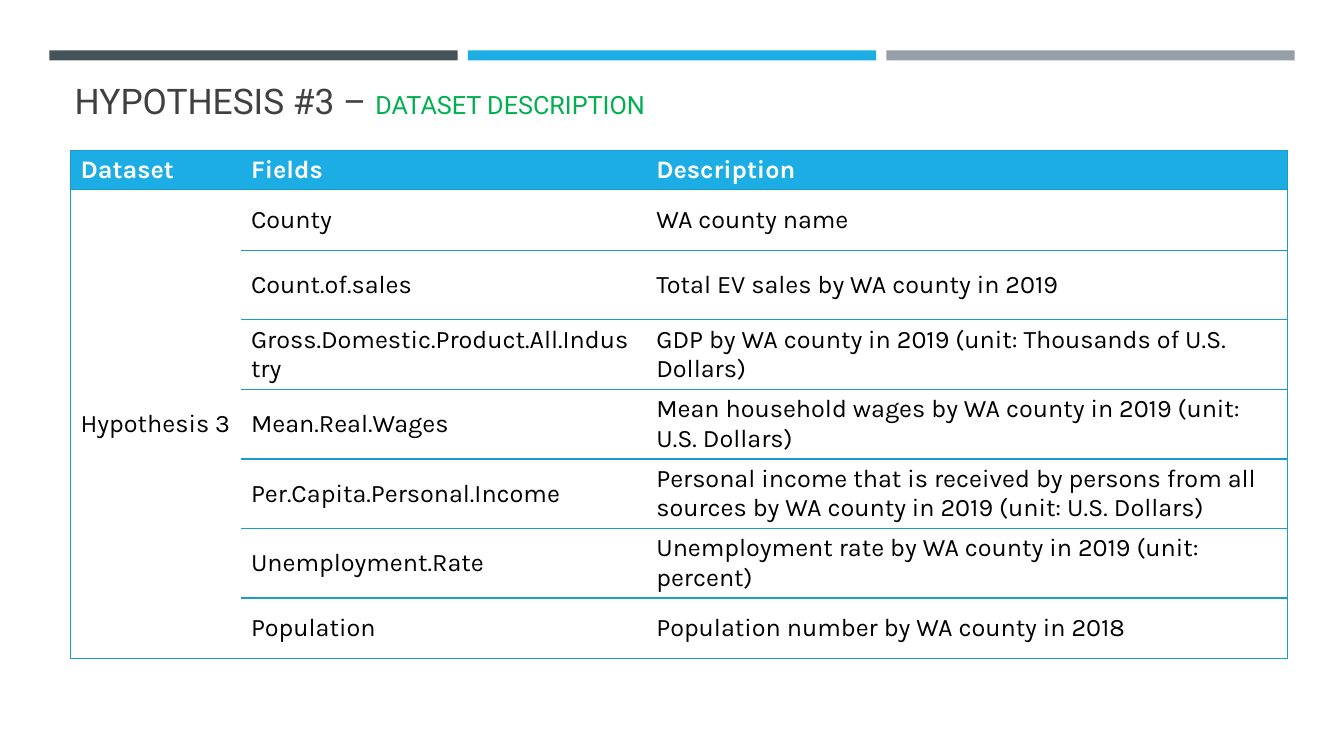
from lxml import etree
from pptx import Presentation
from pptx.dml.color import RGBColor
from pptx.enum import shapes, text
from pptx.oxml import ns
from pptx.util import Inches, Pt

# Content
TITLE = [("HYPOTHESIS #3 – ", 25.2, "404040"), ("DATASET DESCRIPTION", 18, "00B050")]
BAR_COLOURS = ["465359", "1CADE4", "969FA7"]
HEADINGS = ("Dataset", "Fields", "Description")
DATASET = "Hypothesis 3"
FIELDS = [
    ("County", "WA county name"),
    ("Count.of.sales", "Total EV sales by WA county in 2019"),
    ("Gross.Domestic.Product.All.Industry",
     "GDP by WA county in 2019 (unit: Thousands of U.S. Dollars)"),
    ("Mean.Real.Wages",
     "Mean household wages by WA county in 2019 (unit: U.S. Dollars)"),
    ("Per.Capita.Personal.Income",
     "Personal income that is received by persons from all sources "
     "by WA county in 2019 (unit: U.S. Dollars)"),
    ("Unemployment.Rate", "Unemployment rate by WA county in 2019 (unit: percent)"),
    ("Population", "Population number by WA county in 2018"),
]
COLUMN_WIDTHS = [1.69, 4.02, 6.36]
ROW_HEIGHTS = [0.39, 0.6] + [0.69] * 5 + [0.6]
BORDER = "189CCE"


def rgb(colour):
    return RGBColor.from_string(colour)


def add_span(para, words, font, size, colour, bold=False):
    span = para.add_run()
    span.text = words
    span.font.name, span.font.size, span.font.bold = font, Pt(size), bold
    span.font.color.rgb = rgb(colour)


def set_borders(cell, visible):
    """Draw the sides named in visible and clear the others."""
    properties = cell._tc.get_or_add_tcPr()
    for side in "LRTB":
        line = etree.SubElement(properties, ns.qn("a:ln" + side), w=str(Pt(1)))
        if side in visible:
            fill = etree.SubElement(line, ns.qn("a:solidFill"))
            etree.SubElement(fill, ns.qn("a:srgbClr"), val=BORDER)
        else:
            etree.SubElement(line, ns.qn("a:noFill"))


deck = Presentation()
deck.slide_width, deck.slide_height = Inches(13.33), Inches(7.5)
page = deck.slides.add_slide(deck.slide_layouts[5])

# Bars along the top
for i, colour in enumerate(BAR_COLOURS):
    bar = page.shapes.add_shape(shapes.MSO_SHAPE.RECTANGLE, Inches(0.49 + 4.15 * i),
                                Inches(0.5), Inches(4.05), Inches(0.1))
    bar.shadow.inherit = False
    bar.fill.solid()
    bar.fill.fore_color.rgb = rgb(colour)
    bar.line.fill.background()

# Title
title = page.shapes.title
title.left, title.top = Inches(0.64), Inches(0.77)
title.width, title.height = Inches(12.06), Inches(0.49)
title.text_frame.vertical_anchor = text.MSO_ANCHOR.BOTTOM
title.text_frame.auto_size = text.MSO_AUTO_SIZE.NONE
para = title.text_frame.paragraphs[0]
para.alignment = text.PP_ALIGN.LEFT
for words, size, colour in TITLE:
    add_span(para, words, "Roboto", size, colour)

# Table of fields
rows = [HEADINGS] + [(DATASET if i == 0 else "", *field) for i, field in enumerate(FIELDS)]
last_row, last_column = len(rows) - 1, len(HEADINGS) - 1
table = page.shapes.add_table(len(rows), len(HEADINGS), Inches(0.7), Inches(1.49),
                              Inches(sum(COLUMN_WIDTHS)), Inches(sum(ROW_HEIGHTS))).table
table.horz_banding = False
for column, width in zip(table.columns, COLUMN_WIDTHS):
    column.width = Inches(width)
for row, height in zip(table.rows, ROW_HEIGHTS):
    row.height = Inches(height)
table.cell(1, 0).merge(table.cell(last_row, 0))

for r, row in enumerate(rows):
    header = r == 0
    for c, words in enumerate(row):
        cell = table.cell(r, c)
        sides = "L" if c == 0 else "R" if c == last_column else ""
        if c > 0 or r <= 1:
            sides += "T"
        if c > 0 or header or r == last_row:
            sides += "B"
        if c == 0 and r == 1:
            sides += "B"  # lower edge of the merged cell
        set_borders(cell, sides)
        cell.fill.solid()
        cell.fill.fore_color.rgb = rgb("1CADE4" if header else "FFFFFF")
        cell.vertical_anchor = text.MSO_ANCHOR.TOP if header else text.MSO_ANCHOR.MIDDLE
        if words:
            add_span(cell.text_frame.paragraphs[0], words, "Karla", 18,
                     "FFFFFF" if header else "000000", header)

deck.save("out.pptx")
